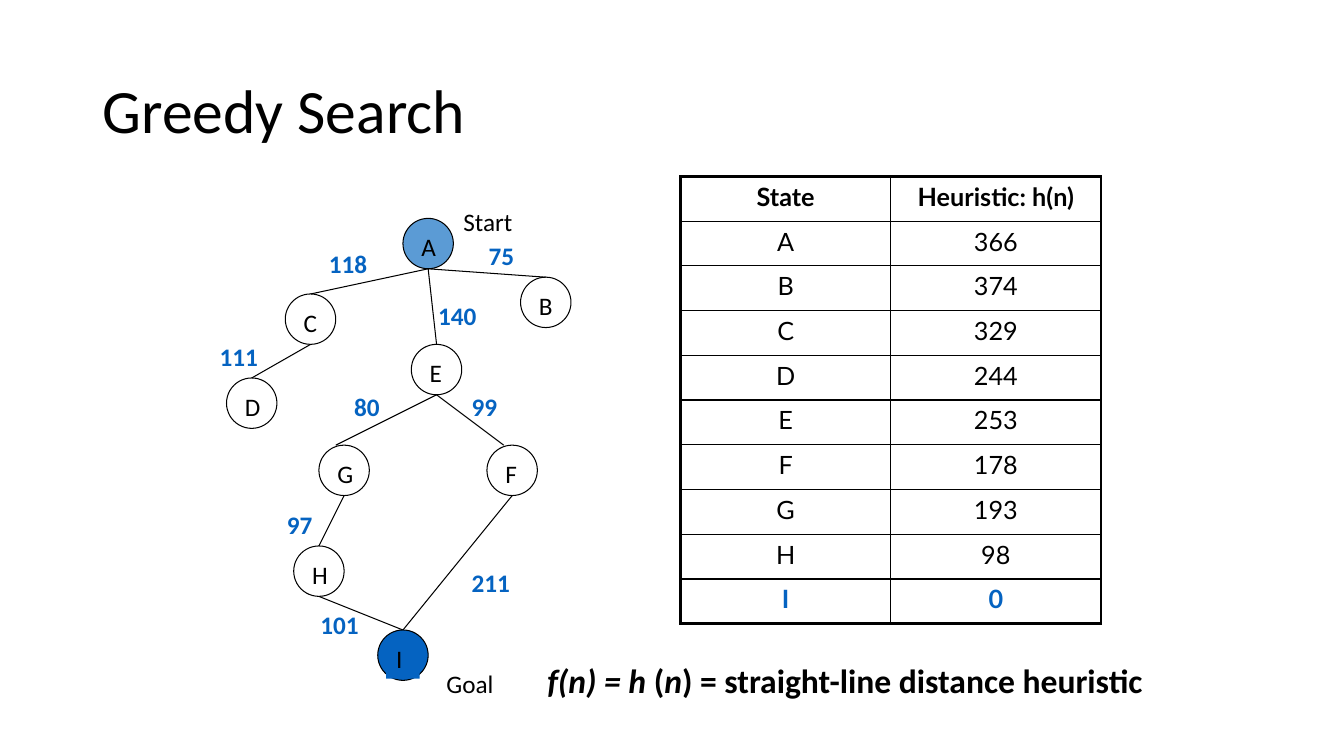
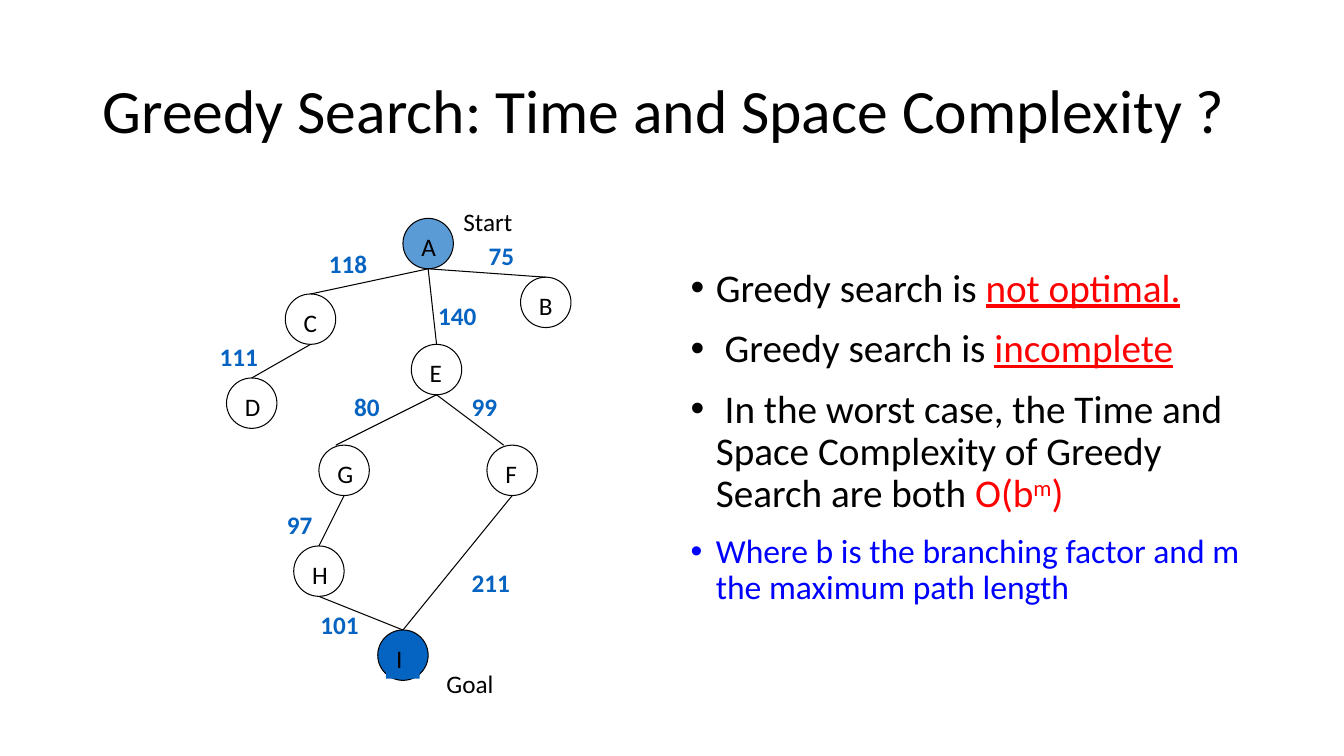
import pptx
import pptx.dml.color
import pptx.enum.shapes
import pptx.enum.text
import pptx.oxml
import pptx.oxml.ns
import pptx.util
from lxml import etree

Inches = pptx.util.Inches
Pt = pptx.util.Pt
RGBColor = pptx.dml.color.RGBColor
qn = pptx.oxml.ns.qn

BLACK = RGBColor(0x00, 0x00, 0x00)
START_BLUE = RGBColor(0x5B, 0x9B, 0xD5)
GOAL_BLUE = RGBColor(0x05, 0x63, 0xC1)
RED = RGBColor(0xFF, 0x00, 0x00)
NOTE_BLUE = RGBColor(0x00, 0x00, 0xFF)
BODY_FONT = "Calibri"
TABLE_FONT = "Lato"

TITLE_ONLY, TITLE_AND_CONTENT = 5, 1
TITLE_BOX = (0.92, 0.4, 11.5, 1.45)
TREE_ORIGIN = (2.08, 2)

# The search tree lies on a grid of twelfths of an inch
GRID = 1 / 12
NODE_SIZE = 6
LABEL_HEIGHT = 0.4
NODES = {  # name: column, row
    "A": (23, 2), "B": (37, 9), "C": (9, 11), "D": (2, 21), "E": (24, 17),
    "F": (33, 29), "G": (13, 29), "H": (10, 41), "I": (20, 51),
}
NODE_FILLS = {"A": START_BLUE, "I": GOAL_BLUE}
EDGES = [  # parent, child, shift of the lower end
    ("A", "B", 0), ("A", "C", 0), ("A", "E", 0), ("C", "D", 0), ("E", "F", -1),
    ("E", "G", -1), ("G", "H", 0), ("H", "I", 0), ("F", "I", 0),
]
COSTS = [  # cost, column, row, width
    ("118", 13, 5, 10), ("75", 32, 4, 8), ("140", 26, 11.2, 10),
    ("111", 0, 16, 10), ("80", 16, 22, 8), ("99", 30, 22, 8),
    ("97", 8, 36, 8), ("211", 30, 43, 10), ("101", 12, 48, 11),
]
CAPTIONS = [("Start", 29, 0, 16), ("Goal", 27, 55, 16)]

HEURISTICS = [
    ("State", "Heuristic: h(n)"), ("A", "366"), ("B", "374"), ("C", "329"),
    ("D", "244"), ("E", "253"), ("F", "178"), ("G", "193"), ("H", "98"),
    ("I", "0"),
]
FORMULA = [
    ("f(n) = h ", {"italic": True}), ("(", {}), ("n", {"italic": True}),
    (") = straight-line distance heuristic", {}),
]
FINDINGS = [  # size, runs
    (28, [("Greedy search is ", {}),
          ("not optimal.", {"color": RED, "underline": True})]),
    (28, [(" Greedy search is ", {}),
          ("incomplete", {"color": RED, "underline": True})]),
    (28, [(" In the worst case, the Time and Space Complexity of Greedy "
           "Search are both ", {}),
          ("O(b", {"color": RED}),
          ("m", {"color": RED, "superscript": True}),
          (")", {"color": RED})]),
    (24, [("Where b is the branching factor and m the maximum path length",
           {"color": NOTE_BLUE})]),
]


# Shared helpers
def place(shape, left, top, width, height):
    shape.left, shape.top = Inches(left), Inches(top)
    shape.width, shape.height = Inches(width), Inches(height)


def add_run(paragraph, text, size, font=BODY_FONT, color=BLACK, bold=False,
            italic=False, underline=False, superscript=False):
    run = paragraph.add_run()
    run.text = text
    run.font.name = font
    run.font.size = Pt(size)
    run.font.color.rgb = color
    run.font.bold = bold
    run.font.italic = italic
    run.font.underline = underline
    if superscript:
        run.font._element.set("baseline", "30000")


def add_label(shapes, left, top, width, height, runs, size=18, **style):
    label = shapes.add_textbox(Inches(left), Inches(top), Inches(width),
                               Inches(height))
    label.text_frame.word_wrap = True
    label.text_frame.auto_size = pptx.enum.text.MSO_AUTO_SIZE.SHAPE_TO_FIT_TEXT
    for text, own_style in runs:
        add_run(label.text_frame.paragraphs[0], text, size,
                **{**style, **own_style})
    return label


def add_titled_slide(presentation, layout_index, title):
    slide = presentation.slides.add_slide(
        presentation.slide_layouts[layout_index])
    place(slide.shapes.title, *TITLE_BOX)
    text_frame = slide.shapes.title.text_frame
    text_frame.auto_size = pptx.enum.text.MSO_AUTO_SIZE.NONE
    text_frame.vertical_anchor = pptx.enum.text.MSO_ANCHOR.MIDDLE
    paragraph = text_frame.paragraphs[0]
    paragraph.alignment = pptx.enum.text.PP_ALIGN.LEFT
    paragraph.line_spacing = 0.9
    add_run(paragraph, title, 44)
    return slide


# Search tree
def add_node(slide, name, left, top):
    size = NODE_SIZE * GRID
    fill = NODE_FILLS.get(name)
    group = slide.shapes.add_group_shape()
    circle = group.shapes.add_shape(
        pptx.enum.shapes.MSO_SHAPE.OVAL, Inches(left), Inches(top),
        Inches(size), Inches(size))
    circle.shadow.inherit = False
    circle.line.color.rgb = BLACK
    circle.line.width = Pt(0.75)
    label = add_label(group.shapes, left + GRID, top + GRID, 4 * GRID,
                      LABEL_HEIGHT, [(name, {})])
    if fill is None:
        circle.fill.background()
    else:
        circle.fill.solid()
        circle.fill.fore_color.rgb = fill
    if name == "I":
        label.fill.solid()
        label.fill.fore_color.rgb = fill


def add_edge(slide, start, end):
    line = slide.shapes.add_connector(
        pptx.enum.shapes.MSO_CONNECTOR.STRAIGHT,
        *[Inches(length) for length in (*start, *end)])
    line.line.color.rgb = BLACK
    line.line.width = Pt(0.75)
    etree.SubElement(line._element.spPr, qn("a:effectLst"))


def add_search_tree(slide, left, top):
    def at(column, row):
        return left + column * GRID, top + row * GRID

    for parent, child, shift in EDGES:
        parent_column, parent_row = NODES[parent]
        child_column, child_row = NODES[child]
        add_edge(slide,
                 at(parent_column + NODE_SIZE / 2, parent_row + NODE_SIZE),
                 at(child_column + NODE_SIZE / 2 + shift, child_row))
    for name, position in NODES.items():
        add_node(slide, name, *at(*position))
    for labels, style in ((COSTS, {"color": GOAL_BLUE, "bold": True}),
                          (CAPTIONS, {})):
        for text, column, row, width in labels:
            add_label(slide.shapes, *at(column, row), width * GRID,
                      LABEL_HEIGHT, [(text, style)])


# Heuristic table
def set_borders(cell, widths):
    properties = cell._tc.get_or_add_tcPr()
    for side in ("L", "R", "T", "B"):
        border = etree.SubElement(properties, qn("a:ln" + side),
                                  w=str(Pt(widths[side])))
        fill = etree.SubElement(border, qn("a:solidFill"))
        etree.SubElement(fill, qn("a:srgbClr"), val=str(BLACK))


def add_heuristic_table(slide, left, top, width, height):
    last_row, last_column = len(HEURISTICS) - 1, len(HEURISTICS[0]) - 1
    table = slide.shapes.add_table(
        last_row + 1, last_column + 1, Inches(left), Inches(top),
        Inches(width), Inches(height)).table
    table.first_row = False
    table.horz_banding = False
    for row, values in enumerate(HEURISTICS):
        for column, value in enumerate(values):
            cell = table.cell(row, column)
            outer = {"L": column == 0, "R": column == last_column,
                     "T": row == 0, "B": row == last_row}
            set_borders(cell, {side: 2.25 if is_outer else 1
                               for side, is_outer in outer.items()})
            cell.fill.background()
            paragraph = cell.text_frame.paragraphs[0]
            paragraph.alignment = pptx.enum.text.PP_ALIGN.CENTER
            add_run(paragraph, value, 18, font=TABLE_FONT,
                    color=GOAL_BLUE if row == last_row else BLACK,
                    bold=row in (0, last_row))


# Bulleted findings
def add_findings(slide, left, top, width, height):
    body = slide.placeholders[1]
    place(body, left, top, width, height)
    text_frame = body.text_frame
    text_frame.auto_size = pptx.enum.text.MSO_AUTO_SIZE.NONE
    for index, (size, runs) in enumerate(FINDINGS):
        paragraph = (text_frame.add_paragraph() if index
                     else text_frame.paragraphs[0])
        properties = paragraph._p.get_or_add_pPr()
        properties.set("marL", str(Inches(0.25)))
        properties.set("indent", str(Inches(-0.25)))
        etree.SubElement(properties, qn("a:buFont"), typeface="Arial")
        etree.SubElement(properties, qn("a:buChar"), char="•")
        paragraph.line_spacing = 0.9
        paragraph.space_before = Pt(13 if index else 0)
        for text, style in runs:
            add_run(paragraph, text, size, **style)


# Slides
def add_example_slide(presentation):
    slide = add_titled_slide(presentation, TITLE_ONLY, "Greedy Search")
    add_heuristic_table(slide, 6.75, 1.75, 4.17, 4.44)
    add_search_tree(slide, *TREE_ORIGIN)
    add_label(slide.shapes, 5.33, 6.5, 6.33, 0.5, FORMULA, size=24, bold=True)


def add_complexity_slide(presentation):
    slide = add_titled_slide(presentation, TITLE_AND_CONTENT,
                             "Greedy Search: Time and Space Complexity ?")
    add_findings(slide, 6.75, 2.61, 5.67, 4.15)
    add_search_tree(slide, *TREE_ORIGIN)


def main():
    presentation = pptx.Presentation()
    presentation.slide_width = Inches(13.33)
    presentation.slide_height = Inches(7.5)
    add_example_slide(presentation)
    add_complexity_slide(presentation)
    presentation.save("out.pptx")


if __name__ == "__main__":
    main()
